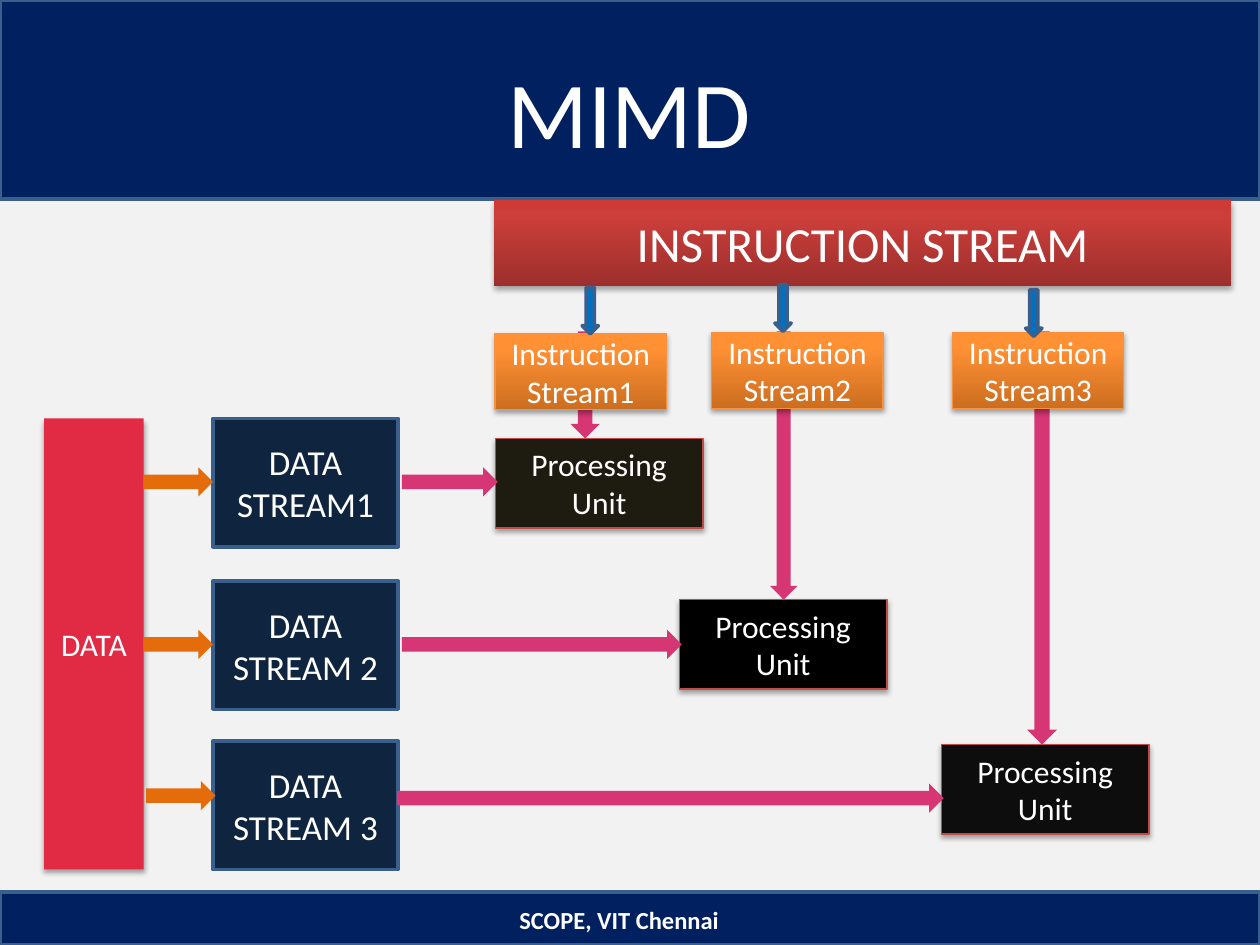
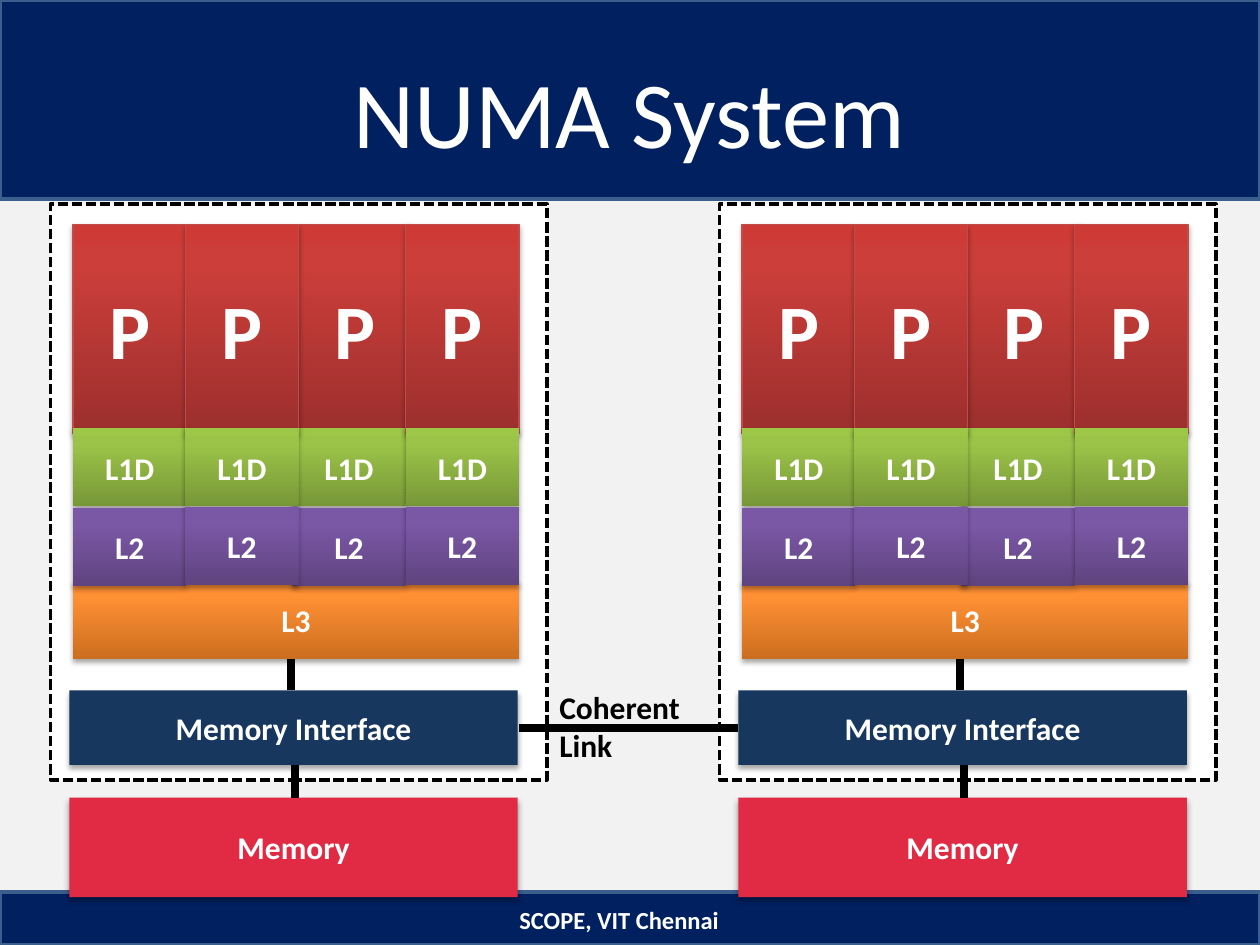
import dataclasses
import typing

import lxml.etree
import pptx
import pptx.dml.color
import pptx.enum.dml
import pptx.enum.shapes
import pptx.enum.text
import pptx.oxml.ns
import pptx.util

COLOURS = {
    "paper": "F2F2F2", "navy": "002060", "edge": "3A5F8C", "white": "FFFFFF",
    "black": "000000", "crimson": "E12B45", "pink": "D63673", "amber": "E46C0A",
    "blue": "0070C0", "midnight": "0F243E", "steel": "17375E", "olive": "1E1C11",
    "coal": "0D0D0D", "red edge": "BF4C48", "orange edge": "F69240",
}
GRADIENTS = {
    "red": {0: "9C2F2D", 80: "CB3E3A", 100: "CE3B37"},
    "orange": {0: "CC6E20", 80: "FF9034", 100: "FF9136"},
    "green": {0: "779737", 80: "9BC348", 100: "9DC746"},
    "purple": {0: "5F4480", 80: "7B58A6", 100: "7C57A8"},
}
FONT = "Calibri"
COLUMNS, ROWS = 100, 75
WIDTH, HEIGHT = pptx.util.Inches(10), pptx.util.Inches(7.5)
SHAPE = pptx.enum.shapes.MSO_SHAPE
ALIGN = pptx.enum.text.PP_ALIGN
ANCHOR = pptx.enum.text.MSO_ANCHOR


class Area(typing.NamedTuple):
    left: float
    top: float
    width: float
    height: float

    def lengths(self) -> tuple[int, ...]:
        col, row = WIDTH / COLUMNS, HEIGHT / ROWS
        return (round(self.left * col), round(self.top * row),
                round(self.width * col), round(self.height * row))


@dataclasses.dataclass(frozen=True)
class Look:
    fill: str
    line: str = ""
    weight: float = 0.75
    dashed: bool = False
    shadow: bool = False
    size: int = 18
    bold: bool = False
    shape: SHAPE = SHAPE.RECTANGLE


class Lane(typing.NamedTuple):
    number: int
    stream: str
    stream_top: float
    feed: Area
    link_left: float
    link_top: float
    unit_left: float
    unit_top: float
    unit_fill: str
    drop_left: float
    drop_width: float
    order_left: float
    order_top: float
    issue_left: float
    issue_top: float


class Core(typing.NamedTuple):
    left: float
    cache_left: float
    l2_top: float


BAND = Look("navy", "edge", 2)
FEED = Look("amber", shape=SHAPE.RIGHT_ARROW)
LINK = Look("pink", shape=SHAPE.RIGHT_ARROW)
DROP = Look("pink", shape=SHAPE.DOWN_ARROW)
ISSUE = Look("blue", "edge", 2, shape=SHAPE.DOWN_ARROW)
STREAM = Look("midnight", "edge", 2, size=20)
ORDER = Look("orange", "orange edge", shadow=True)
DATA = Look("crimson", shadow=True)
SOURCE = Look("red", shadow=True, size=28)
FRAME = Look("white", "black", 2, dashed=True)
PROCESSOR = Look("red", "red edge", shadow=True, size=44, bold=True)
L1D, L2, L3, INTERFACE, MEMORY = (
    Look(fill, shadow=True, bold=True)
    for fill in ("green", "purple", "orange", "steel", "crimson"))

LANES = (
    Lane(1, "STREAM1", 33.2, Area(11.4, 37.1, 5.5, 2.3), 31.9, 37.1,
         39.3, 34.8, "olive", 45.3, 2.3, 39.3, 26.5, 46.2, 22.8),
    Lane(2, "STREAM 2", 46.1, Area(11.4, 50, 5.5, 2.3), 31.9, 50,
         53.9, 47.6, "black", 61.1, 2.2, 56.5, 26.4, 61.5, 22.6),
    Lane(3, "STREAM 3", 58.8, Area(11.6, 62, 5.5, 2.3), 31.5, 62.2,
         74.7, 59.1, "coal", 81.5, 2.4, 75.6, 26.4, 81.4, 23),
)
CORES = (Core(23.7, 23.2, 40.3), Core(5.8, 5.8, 40.3),
         Core(14.7, 14.7, 40.2), Core(32.2, 32.2, 40.2))
NODE_LEFTS = (0, 53.1)


def rgb(name: str) -> pptx.dml.color.RGBColor:
    return pptx.dml.color.RGBColor.from_string(COLOURS[name])


def add_element(parent, tag: str, **attributes):
    return lxml.etree.SubElement(
        parent, pptx.oxml.ns.qn(tag), {k: str(v) for k, v in attributes.items()})


def write(tf, text: str, size: int, bold: bool = False, colour: str = "white",
          align=ALIGN.CENTER, anchor=ANCHOR.MIDDLE) -> None:
    tf.text = text
    tf.word_wrap = True
    tf.vertical_anchor = anchor
    style = {"name": FONT, "size": pptx.util.Pt(size), "bold": bold}
    for p in tf.paragraphs:
        p.alignment = align
        for r in p.runs:
            for key, value in style.items():
                setattr(r.font, key, value)
            r.font.color.rgb = rgb(colour)


def paint_gradient(sp, stops: dict[int, str]) -> None:
    sp.fill.gradient()
    sp.fill.gradient_angle = 90
    stop_list = sp.element.spPr.find(".//" + pptx.oxml.ns.qn("a:gsLst"))
    stop_list.clear()
    for position, colour in stops.items():
        stop = add_element(stop_list, "a:gs", pos=position * 1000)
        add_element(stop, "a:srgbClr", val=colour)


def cast_shadow(sp) -> None:
    effects = sp.element.spPr.find(pptx.oxml.ns.qn("a:effectLst"))
    shadow = add_element(effects, "a:outerShdw", blurRad=pptx.util.Pt(3.1),
                         dist=pptx.util.Pt(1.8), dir=90 * 60000, rotWithShape=0)
    colour = add_element(shadow, "a:srgbClr", val=COLOURS["black"])
    add_element(colour, "a:alpha", val=35000)


def add_box(s, area: Area, look: Look, text: str = ""):
    sp = s.shapes.add_shape(look.shape, *area.lengths())
    sp.shadow.inherit = False
    if look.fill in GRADIENTS:
        paint_gradient(sp, GRADIENTS[look.fill])
    else:
        sp.fill.solid()
        sp.fill.fore_color.rgb = rgb(look.fill)
    if look.line:
        sp.line.color.rgb = rgb(look.line)
        sp.line.width = pptx.util.Pt(look.weight)
    else:
        sp.line.fill.background()
    if look.dashed:
        sp.line.dash_style = pptx.enum.dml.MSO_LINE.SQUARE_DOT
    if look.shadow:
        cast_shadow(sp)
    if text:
        write(sp.text_frame, text, look.size, look.bold)
    return sp


def add_text(s, area: Area, text: str, size: int, **style) -> None:
    tf = s.shapes.add_textbox(*area.lengths()).text_frame
    write(tf, text, size, bold=True, **style)


def add_wire(s, left: float, top: float, width: float, height: float) -> None:
    x, y, cx, cy = Area(left, top, width, height).lengths()
    wire = s.shapes.add_connector(
        pptx.enum.shapes.MSO_CONNECTOR.STRAIGHT, x, y, x + cx, y + cy)
    wire.line.color.rgb = rgb("black")
    wire.line.width = pptx.util.Pt(4.5)
    add_element(wire.element.spPr, "a:effectLst")


def add_slide(prs, title: str):
    s = prs.slides.add_slide(prs.slide_layouts.get_by_name("Title Only"))
    place = dict(zip(("left", "top", "width", "height"),
                     Area(3.3, 2.5, 93.3, 12.5).lengths()))
    for key, value in place.items():
        setattr(s.shapes.title, key, value)
    write(s.shapes.title.text_frame, title, 54)
    add_text(s, Area(27.5, 71, 43.3, 4), "SCOPE, VIT Chennai", 14)
    return s


def set_master(prs, s) -> None:
    master = prs.slide_master
    master.background.fill.solid()
    master.background.fill.fore_color.rgb = rgb("paper")
    for top, height in ((0, 15.8), (70.8, 4.2)):
        band = add_box(s, Area(0, top, COLUMNS, height), BAND)
        master.shapes.element.insert(2, band.element)


def draw_lane(s, lane: Lane) -> None:
    unit = Look(lane.unit_fill, "red edge", shadow=True)
    add_box(s, Area(lane.unit_left, lane.unit_top, 16.5, 7.1), unit, "Processing Unit")
    add_box(s, Area(lane.drop_left, 26.3, lane.drop_width, lane.unit_top - 26.3), DROP)
    add_box(s, Area(lane.order_left, lane.order_top, 13.6, 6), ORDER,
            f"Instruction\vStream{lane.number}")
    add_box(s, Area(16.9, lane.stream_top, 14.7, 10.2), STREAM, f"DATA\n{lane.stream}")
    reach = lane.unit_left + 0.2 - lane.link_left
    add_box(s, Area(lane.link_left, lane.link_top, reach, 2.3), LINK)
    add_box(s, lane.feed, FEED)
    add_box(s, Area(lane.issue_left, lane.issue_top, 1.3, 3.7), ISSUE)


def draw_mimd(s) -> None:
    add_box(s, Area(39.2, 15.9, 58.5, 6.8), SOURCE, "INSTRUCTION STREAM")
    add_box(s, Area(3.5, 33.2, 7.9, 35.8), DATA, "DATA")
    for lane in LANES:
        draw_lane(s, lane)


def draw_node(s, x: float) -> None:
    add_box(s, Area(x + 4, 16.2, 39.4, 45.7), FRAME)
    add_box(s, Area(x + 5.8, 46.1, 35.4, 6.2), L3, "L3")
    for core in CORES:
        add_box(s, Area(x + core.left, 17.8, 9, 16.6), PROCESSOR, "P")
        add_box(s, Area(x + core.cache_left, 34, 9, 6.2), L1D, "L1D")
        add_box(s, Area(x + core.cache_left, core.l2_top, 9, 6.2), L2, "L2")
    add_box(s, Area(x + 5.5, 54.8, 35.6, 5.9), INTERFACE, "Memory Interface")
    add_box(s, Area(x + 5.5, 63.3, 35.6, 7.9), MEMORY, "Memory")
    add_wire(s, x + 23.4, 60.7, 0, 2.6)
    add_wire(s, x + 23.1, 52.3, 0, 2.5)


def draw_numa(s) -> None:
    for left in NODE_LEFTS:
        draw_node(s, left)
    add_wire(s, 41.2, 57.8, 17.4, 0)
    add_text(s, Area(43.4, 54.1, 15.8, 7.1), "Coherent\nLink", 18,
             colour="black", align=ALIGN.LEFT, anchor=ANCHOR.TOP)


def main() -> None:
    prs = pptx.Presentation()
    prs.slide_width, prs.slide_height = WIDTH, HEIGHT
    mimd = add_slide(prs, "MIMD")
    set_master(prs, mimd)
    draw_mimd(mimd)
    draw_numa(add_slide(prs, "NUMA System"))
    prs.save("out.pptx")


if __name__ == "__main__":
    main()
